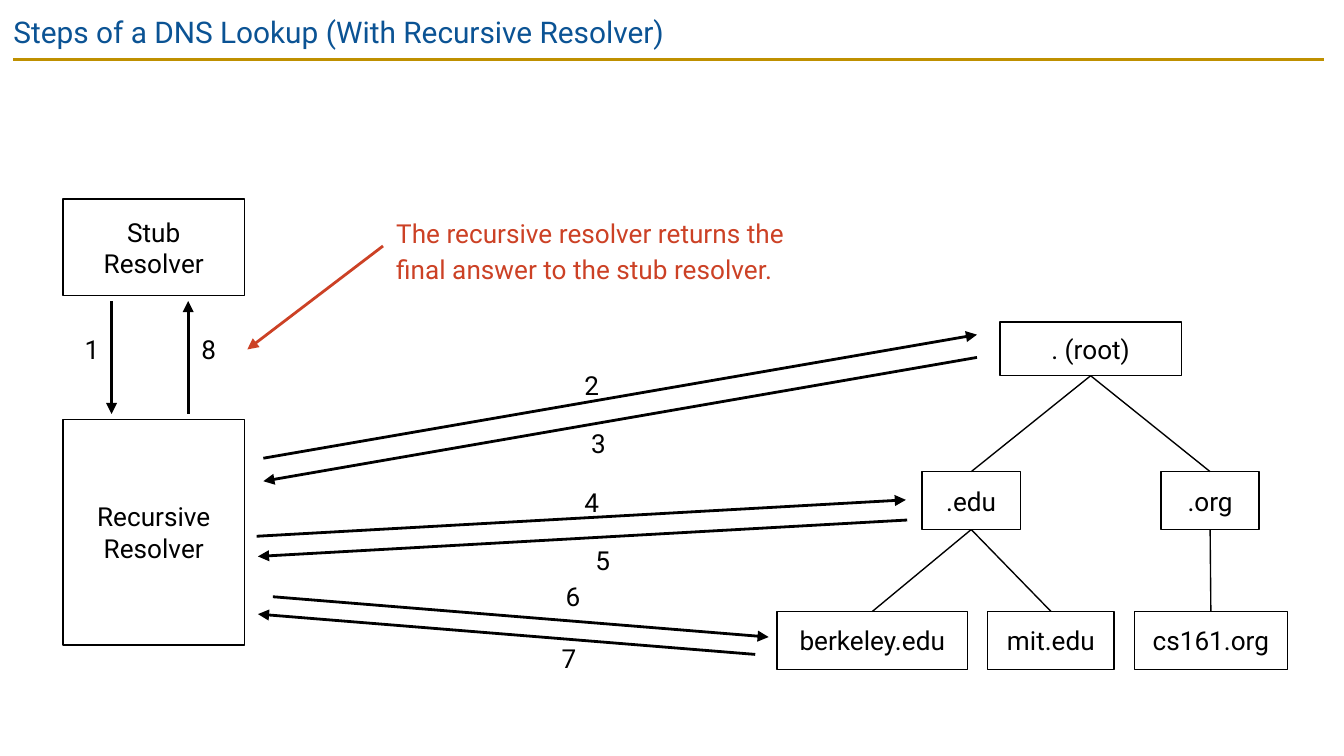
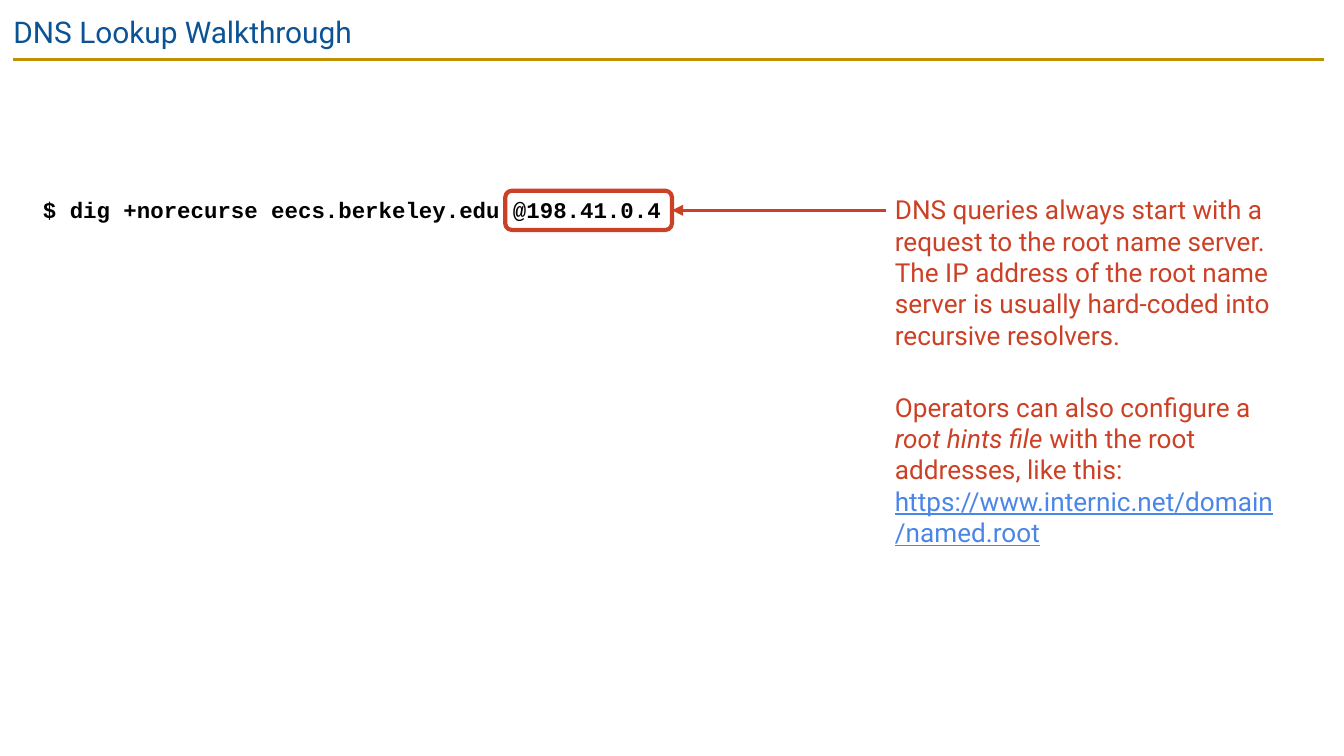
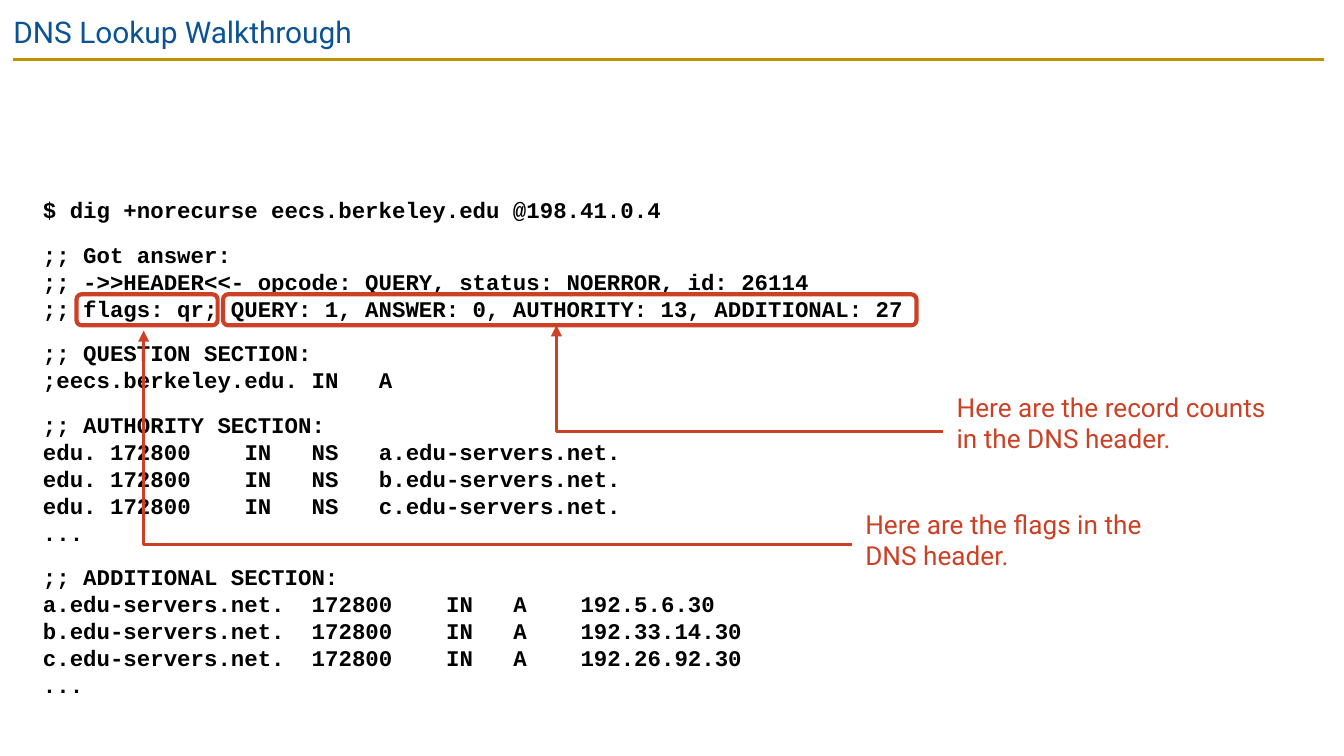
import lxml.etree
import pptx
import pptx.dml.color
import pptx.enum.shapes
import pptx.enum.text
import pptx.oxml.ns
import pptx.util

Pt = pptx.util.Pt
SHAPES = pptx.enum.shapes.MSO_SHAPE
ALIGN = pptx.enum.text.PP_ALIGN
ANCHOR = pptx.enum.text.MSO_ANCHOR

COLORS = {
    "title": "0B5394",
    "rule": "BF9000",
    "ink": "000000",
    "callout": "CC4125",
    "link": "4A86E8",
}
TEXT_FONT = "Roboto"
CODE_FONT = "Courier New"
TITLE_ONLY, TITLE_AND_BODY = 5, 1
BOTTOM, TOP, RIGHT = 2, 0, 3
INSET = 7.2
NODE_HEIGHT = 31
CODE_CHARACTER = 7.2
CODE_LINE = 14.4
SECTION_GAP = 9.6

COMMAND = ["$ dig +norecurse eecs.berkeley.edu @198.41.0.4"]
ANSWER = [
    ";; Got answer:",
    ";; ->>HEADER<<- opcode: QUERY, status: NOERROR, id: 26114",
    ";; flags: qr; QUERY: 1, ANSWER: 0, AUTHORITY: 13, ADDITIONAL: 27",
]
QUESTION = [";; QUESTION SECTION:", ";eecs.berkeley.edu.\tIN\tA"]
AUTHORITY = [
    ";; AUTHORITY SECTION:",
    *[f"edu.\t172800\tIN\tNS\t{server}.edu-servers.net." for server in "abc"],
    "...",
]
ADDRESSES = {"a": "192.5.6.30", "b": "192.33.14.30", "c": "192.26.92.30"}
ADDITIONAL = [
    ";; ADDITIONAL SECTION:",
    *[
        f"{server}.edu-servers.net.\t172800\tIN\tA\t{address}"
        for server, address in ADDRESSES.items()
    ],
    "...",
]
LOOKUP_OUTPUT = [
    (COMMAND, []),
    (ANSWER, []),
    (QUESTION, [29, 34]),
    (AUTHORITY, [20, 29, 34, 39]),
    (ADDITIONAL, [20, 29, 34, 40]),
]


def rgb(color):
    return pptx.dml.color.RGBColor.from_string(COLORS[color])


def points(values):
    return [Pt(value) for value in values]


def place(shape, box):
    shape.left, shape.top, shape.width, shape.height = points(box)


def prepare_frame(frame, anchor=ANCHOR.TOP):
    frame.word_wrap = True
    frame.auto_size = pptx.enum.text.MSO_AUTO_SIZE.NONE
    frame.vertical_anchor = anchor
    frame.margin_left = frame.margin_right = Pt(INSET)
    frame.margin_top = frame.margin_bottom = Pt(INSET)


def format_runs(paragraph, size, color="ink", font=TEXT_FONT, bold=False):
    for run in paragraph.runs:
        run.font.name = font
        run.font.size = Pt(size)
        run.font.bold = bold
        run.font.color.rgb = rgb(color)


def set_line(shape, color, width):
    shape.line.color.rgb = rgb(color)
    shape.line.width = Pt(width)


def add_arrowhead(shape):
    line = shape._element.spPr.find(pptx.oxml.ns.qn("a:ln"))
    lxml.etree.SubElement(line, pptx.oxml.ns.qn("a:tailEnd"), type="triangle")


def add_line(slide, start, end, color="ink", width=1.5, arrow=False):
    connector = slide.shapes.add_connector(
        pptx.enum.shapes.MSO_CONNECTOR.STRAIGHT, *points([*start, *end])
    )
    set_line(connector, color, width)
    lxml.etree.SubElement(connector._element.spPr, pptx.oxml.ns.qn("a:effectLst"))
    if arrow:
        add_arrowhead(connector)
    return connector


def add_bent_arrow(slide, start, corner, end):
    builder = slide.shapes.build_freeform(*points(start), scale=1.0)
    builder.add_line_segments([points(corner), points(end)], close=False)
    arrow = builder.convert_to_shape()
    arrow.shadow.inherit = False
    arrow.fill.background()
    set_line(arrow, "callout", 1.5)
    add_arrowhead(arrow)


def add_outline(slide, preset, box, color, width):
    shape = slide.shapes.add_shape(preset, *points(box))
    shape.shadow.inherit = False
    shape.fill.background()
    set_line(shape, color, width)
    return shape


def add_node(slide, text, box):
    node = add_outline(slide, SHAPES.RECTANGLE, box, "ink", 0.75)
    prepare_frame(node.text_frame, ANCHOR.MIDDLE)
    node.text_frame.text = text
    paragraph = node.text_frame.paragraphs[0]
    paragraph.alignment = ALIGN.CENTER
    format_runs(paragraph, 14)
    return node


def add_highlight(slide, box):
    return add_outline(slide, SHAPES.ROUNDED_RECTANGLE, box, "callout", 2.25)


def add_text(slide, text, box, color="callout"):
    text_box = slide.shapes.add_textbox(*points(box))
    prepare_frame(text_box.text_frame)
    text_box.text_frame.text = text
    paragraph = text_box.text_frame.paragraphs[0]
    format_runs(paragraph, 14, color)
    return paragraph


def add_titled_slide(presentation, title, layout):
    slide = presentation.slides.add_slide(presentation.slide_layouts[layout])
    add_line(slide, (7.2, 31.8), (709.2, 31.8), "rule")
    place(slide.shapes.title, (0, 0, 720, 31))
    frame = slide.shapes.title.text_frame
    prepare_frame(frame)
    frame.text = title
    frame.paragraphs[0].alignment = ALIGN.LEFT
    format_runs(frame.paragraphs[0], 16, "title")
    return slide


def set_bullet_and_tabs(paragraph, columns):
    properties = paragraph._p.get_or_add_pPr()
    properties.set("marL", "0")
    properties.set("indent", "0")
    lxml.etree.SubElement(properties, pptx.oxml.ns.qn("a:buNone"))
    if columns:
        tabs = lxml.etree.SubElement(properties, pptx.oxml.ns.qn("a:tabLst"))
        for column in columns:
            position = str(Pt(column * CODE_CHARACTER))
            lxml.etree.SubElement(
                tabs, pptx.oxml.ns.qn("a:tab"), pos=position, algn="l"
            )


def fill_code(slide, sections, width):
    body = slide.placeholders[1]
    place(body, (15.8, 97.9, width, 296.6))
    frame = body.text_frame
    prepare_frame(frame)
    frame.text = "\n".join(line for lines, columns in sections for line in lines)
    paragraphs = iter(frame.paragraphs)
    for section_index, (lines, columns) in enumerate(sections):
        for line_index in range(len(lines)):
            paragraph = next(paragraphs)
            set_bullet_and_tabs(paragraph, columns)
            starts_section = section_index > 0 and line_index == 0
            paragraph.space_before = Pt(SECTION_GAP if starts_section else 0)
            paragraph.line_spacing = Pt(CODE_LINE)
            paragraph.alignment = ALIGN.LEFT
            format_runs(paragraph, 12, font=CODE_FONT, bold=True)


def add_domain_tree(slide):
    boxes = {
        ". (root)": (535.7, 172.5, 97.2, 28.8),
        ".edu": (494, 252.7, 52.6, NODE_HEIGHT),
        ".org": (622, 252.7, 52.6, NODE_HEIGHT),
        "cs161.org": (607.7, 327.6, 82, NODE_HEIGHT),
        "mit.edu": (529.2, 327.6, 67.7, NODE_HEIGHT),
        "berkeley.edu": (416.2, 327.6, 102.2, NODE_HEIGHT),
    }
    nodes = {name: add_node(slide, name, box) for name, box in boxes.items()}
    children = {
        ". (root)": [".edu", ".org"],
        ".edu": ["berkeley.edu", "mit.edu"],
        ".org": ["cs161.org"],
    }
    for parent, names in children.items():
        for name in names:
            edge = add_line(slide, (0, 0), (0, 0), width=0.75)
            edge.begin_connect(nodes[parent], BOTTOM)
            edge.end_connect(nodes[name], TOP)


def build_steps_slide(presentation):
    slide = add_titled_slide(
        presentation, "Steps of a DNS Lookup (With Recursive Resolver)", TITLE_ONLY
    )
    add_domain_tree(slide)
    add_node(slide, "Stub Resolver", (33.8, 106.6, 97.2, 51.8))
    add_node(slide, "Recursive Resolver", (33.8, 224.6, 97.2, 121))
    steps = [
        ((59.8, 161.3), (59.8, 221.8), (38.2, 171.4)),
        ((141.1, 245.5), (523.4, 179.3), (306, 190.8)),
        ((523.4, 191.5), (141.1, 257.8), (309.6, 221.8)),
        ((137.5, 287.3), (485.3, 267.8), (306, 253.4)),
        ((486, 278.6), (138.2, 298.1), (311.8, 284.4)),
        ((146.2, 319.7), (411.8, 341.3), (295.9, 303.8)),
        ((404.6, 350.6), (138.2, 329), (293.8, 337)),
        ((100.8, 221.8), (100.8, 161.3), (100.8, 171.4)),
    ]
    for number, (start, end, label) in enumerate(steps, 1):
        add_line(slide, start, end, arrow=True)
        add_text(slide, str(number), (*label, 32.4, NODE_HEIGHT), "ink")
    add_line(slide, (205.2, 131.8), (132.5, 187.2), "callout", arrow=True)
    paragraph = add_text(
        slide,
        "The recursive resolver returns the final answer to the stub resolver.",
        (205.2, 106.6, 223.2, 51.1),
    )
    paragraph.line_spacing = 1.15


def build_query_slide(presentation):
    slide = add_titled_slide(presentation, "DNS Lookup Walkthrough", TITLE_AND_BODY)
    fill_code(slide, [(COMMAND, [])], 450.7)
    server = add_highlight(slide, (270.7, 102.2, 89.3, 21))
    arrow = add_line(slide, (474.5, 112.7), (360, 112.7), "callout", arrow=True)
    arrow.end_connect(server, RIGHT)
    add_text(
        slide,
        "DNS queries always start with a request to the root name server. "
        "The IP address of the root name server is usually hard-coded into "
        "recursive resolvers.",
        (472.3, 96.5, 216.7, 99.4),
    )
    paragraph = add_text(
        slide, "Operators can also configure a ", (472.3, 202.3, 221.8, 99.4)
    )
    for text in (
        "root hints file",
        " with the root addresses, like this: ",
        "https://www.internic.net/domain/named.root",
    ):
        paragraph.add_run().text = text
    format_runs(paragraph, 14, "callout")
    opening, file_name, middle, link = paragraph.runs
    file_name.font.italic = True
    link.font.underline = True
    link.font.color.rgb = rgb("link")


def build_header_slide(presentation):
    slide = add_titled_slide(presentation, "DNS Lookup Walkthrough", TITLE_AND_BODY)
    fill_code(slide, LOOKUP_OUTPUT, 481.7)
    add_bent_arrow(slide, (456.5, 291.6), (77, 291.6), (77, 177.1))
    add_highlight(slide, (41, 157.7, 75.6, 16.6))
    add_text(
        slide, "Here are the flags in the DNS header.", (456.5, 265, 180, 48.2)
    )
    add_bent_arrow(slide, (505.4, 231.1), (298.1, 231.1), (298.1, 174.2))
    add_text(
        slide,
        "Here are the record counts in the DNS header.",
        (505.4, 202.3, 186.5, 48.2),
    )
    add_highlight(slide, (119.5, 157.7, 371.5, 16.6))


def main():
    presentation = pptx.Presentation()
    presentation.slide_width = Pt(720)
    presentation.slide_height = Pt(405)
    build_steps_slide(presentation)
    build_query_slide(presentation)
    build_header_slide(presentation)
    presentation.save("out.pptx")


if __name__ == "__main__":
    main()
